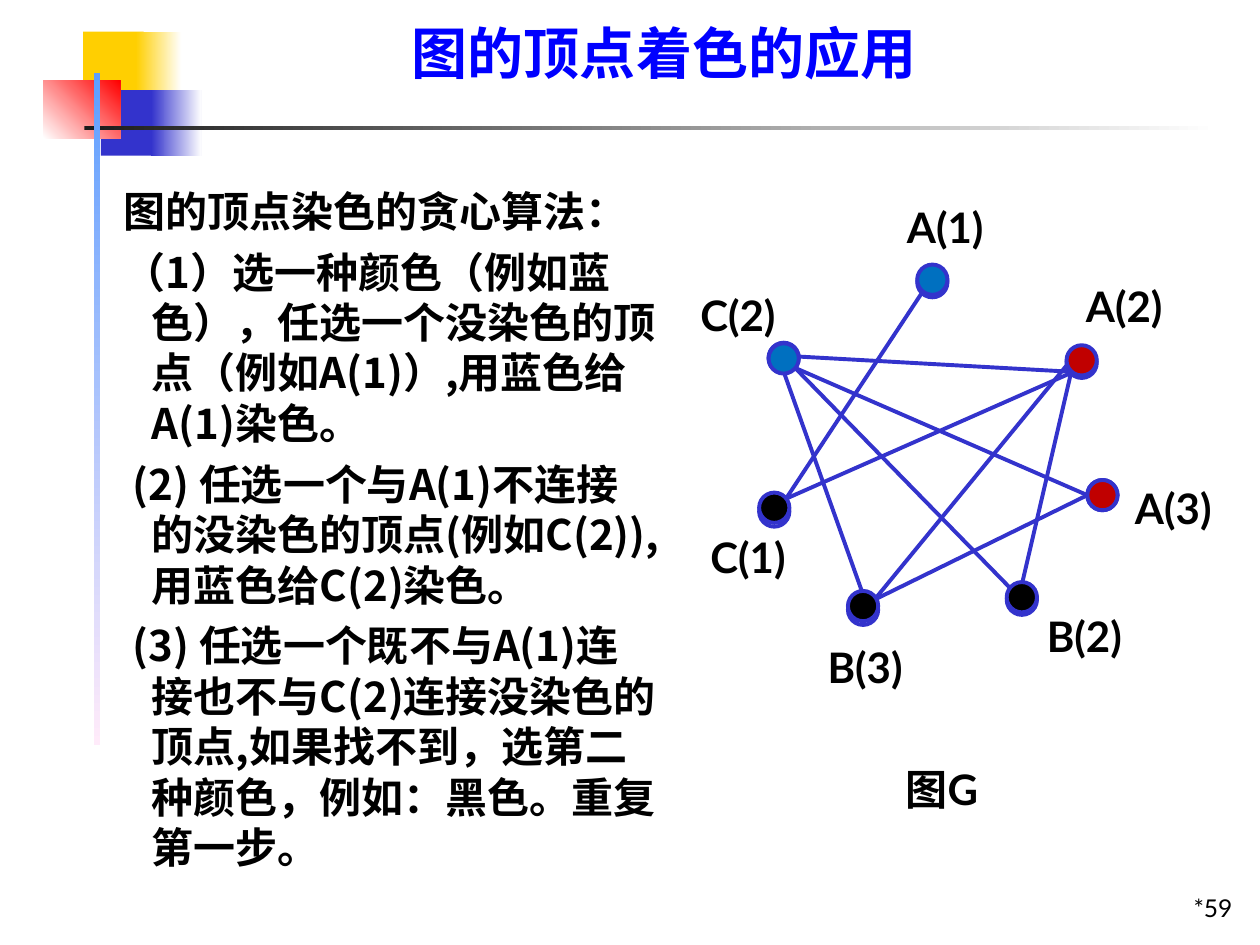
from lxml.etree import SubElement
from pptx import Presentation
from pptx.dml.color import RGBColor
from pptx.enum.shapes import MSO_CONNECTOR, MSO_SHAPE
from pptx.enum.text import MSO_ANCHOR, PP_ALIGN
from pptx.oxml.ns import qn
from pptx.util import Inches, Pt

COLUMNS, ROWS = 100, 75
WIDTH, HEIGHT = Inches(10), Inches(7.5)
LATIN, HAN = "Lato", "Noto Sans CJK SC"
COLORS = {
    "yellow": "FFCF01", "indigo": "3333CC", "red": "FF0000", "white": "FFFFFF",
    "charcoal": "1C1C1C", "sky": "5E9EFF", "pink": "FFEBFA", "black": "000000",
    "title": "0000FF", "blue": "0070C0", "crimson": "C00000",
}
DOT = 2.4
VERTICES = {
    "A(1)": {"dot": (18.8, 6), "ring": (18.8, 6.2), "label": (17, 0.5), "color": "blue"},
    "A(2)": {"dot": (30.65, 12.4), "ring": (30.65, 12.6), "label": (31.2, 6.8), "color": "crimson"},
    "A(3)": {"dot": (32.3, 23.1), "ring": (32.3, 23.1), "label": (35.1, 22.8), "color": "crimson"},
    "B(2)": {"dot": (25.9, 31.2), "ring": (25.9, 31.4), "label": (28.1, 33), "color": "black"},
    "B(3)": {"dot": (13.3, 31.9), "ring": (13.3, 32.2), "label": (10.7, 35.4), "color": "black"},
    "C(1)": {"dot": (6.25, 24.1), "ring": (6.25, 24.4), "label": (1.4, 26.7), "color": "black"},
    "C(2)": {"dot": (7, 12.25), "ring": (7, 12.2), "label": (0.6, 7.5), "color": "blue"},
}
EDGES = [
    ((19.2, 8.2), (8.3, 24.7)), ((6.3, 25.5), (31, 14.6)), ((32.7, 14.6), (9.4, 13.3)),
    ((31, 14.6), (27.1, 31.4)), ((32.3, 24.3), (9.1, 14.2)), ((32.3, 24.3), (15.4, 32.6)),
    ((8.2, 14.5), (14.5, 32.2)), ((9.1, 14.2), (26.3, 31.8)), ((31.8, 12.6), (15.4, 32.6)),
]
STEPS = [
    ("图的顶点染色的贪心算法：", 2.25),
    ("（1）选一种颜色（例如蓝色），任选一个没染色的顶点（例如A(1)）,用蓝色给A(1)染色。", 2.25),
    ("(2) 任选一个与A(1)不连接的没染色的顶点(例如C(2)),用蓝色给C(2)染色。", 1.5),
    ("(3) 任选一个既不与A(1)连接也不与C(2)连接没染色的顶点,如果找不到，选第二种颜色，例如：黑色。重复第一步。", 1.5),
]


def across(columns):
    """Turn grid columns into a length."""
    return round(WIDTH * columns / COLUMNS)


def down(rows):
    """Turn grid rows into a length."""
    return round(HEIGHT * rows / ROWS)


def color(name):
    """Look up a named colour."""
    return RGBColor.from_string(COLORS[name])


def place(box, left, top, width, height):
    """Give the lengths of a part that sits inside a box."""
    return across(box[0] + left), down(box[1] + top), across(width), down(height)


def add_text(slide, frame, paragraphs, size=24, tint="black", font=LATIN, bold=True, margins=(1, 0.5),
             wrap=False, align=PP_ALIGN.LEFT, anchor=MSO_ANCHOR.TOP, hanging=0, line_spacing=None):
    """Add a text box from pairs of text and first-line outdent."""
    text_frame = slide.shapes.add_textbox(*frame).text_frame
    text_frame.word_wrap = wrap
    text_frame.vertical_anchor = anchor
    text_frame.margin_left = text_frame.margin_right = across(margins[0])
    text_frame.margin_top = text_frame.margin_bottom = down(margins[1])
    for index, (text, outdent) in enumerate(paragraphs):
        paragraph = text_frame.add_paragraph() if index else text_frame.paragraphs[0]
        paragraph.alignment = align
        paragraph.line_spacing = line_spacing
        paragraph.space_before = Pt(6 if index else 0)
        properties = paragraph._p.get_or_add_pPr()
        properties.set("marL", str(across(hanging)))
        properties.set("indent", str(-across(outdent)))
        properties.set("hangingPunct", "0")
        run = paragraph.add_run()
        run.text = text
        run.font.size, run.font.bold, run.font.name = Pt(size), bold, font
        run.font.color.rgb = color(tint)
        SubElement(run._r.get_or_add_rPr(), qn("a:ea")).set("typeface", HAN)


def add_block(slide, frame, start, end=None, angle=0):
    """Add a borderless rectangle with a plain or gradient fill."""
    block = slide.shapes.add_shape(MSO_SHAPE.RECTANGLE, *frame)
    block.shadow.inherit = False
    block.line.fill.background()
    if end is None:
        block.fill.solid()
        block.fill.fore_color.rgb = color(start)
        return
    block.fill.gradient()
    block.fill.gradient_angle = angle
    for stop, name, position in zip(block.fill.gradient_stops, (start, end), (0, 1)):
        stop.color.rgb = color(name)
        stop.position = position


def add_circle(slide, frame, fill=None):
    """Add a vertex circle, hollow when no fill is given."""
    circle = slide.shapes.add_shape(MSO_SHAPE.OVAL, *frame)
    circle.shadow.inherit = False
    circle.line.color.rgb = color("indigo")
    circle.line.width = Pt(2.25)
    if fill:
        circle.fill.solid()
        circle.fill.fore_color.rgb = color(fill)
    else:
        circle.fill.background()


def add_edge(slide, box, start, end):
    """Add a straight graph edge between two points of a box."""
    ends = [length for x, y in (start, end) for length in (across(box[0] + x), down(box[1] + y))]
    edge = slide.shapes.add_connector(MSO_CONNECTOR.STRAIGHT, *ends)
    edge.line.color.rgb = color("indigo")
    edge.line.width = Pt(2.25)
    SubElement(edge._element.spPr, qn("a:effectLst"))


def draw_ornament(slide, box):
    """Draw the coloured squares and the two rules."""
    for frame, *fill in (
        ((3.1, 0, 4.8, 5.2), "yellow"),
        ((7.3, 0, 3.6, 5.2), "yellow", "white"),
        ((4.5, 4.65, 4.6, 5.2), "indigo"),
        ((8.5, 4.65, 4, 5.2), "indigo", "white"),
        ((-0.05, 3.9, 6.1, 4.6), "white", "red", 45),
        ((3.2, 7.5, 90, 0.3), "charcoal", "white"),
        ((3.95, 3.3, 0.5, 53.3), "sky", "pink", 270),
    ):
        add_block(slide, place(box, *frame), *fill)


def draw_graph(slide, box):
    """Draw the graph with its edges, vertices, labels and caption."""
    for start, end in EDGES:
        add_edge(slide, box, start, end)
    for label, vertex in VERTICES.items():
        add_circle(slide, place(box, *vertex["ring"], DOT, DOT))
        add_circle(slide, place(box, *vertex["dot"], DOT, DOT), vertex["color"])
        add_text(slide, place(box, *vertex["label"], 8.4, 5), [(label, 0)])
    add_text(slide, place(box, 16.9, 45.1, 10, 5), [("图G", 0)])


def draw_words(slide, box):
    """Write the title, the algorithm steps and the page number."""
    add_text(slide, place(box, 32.7, 2.1, 41.7, 4.8), [("图的顶点着色的应用", 0)], size=32,
             tint="title", font=HAN, margins=(0, 0), line_spacing=0.9)
    add_text(slide, place(box, 8.3, 14.7, 44.1, 54.5), STEPS, font=HAN, margins=(0, 0),
             wrap=True, hanging=3.75)
    add_text(slide, place(box, 78, 68.7, 20.8, 5), [("*59", 0)], size=14, bold=False, wrap=True,
             align=PP_ALIGN.RIGHT, anchor=MSO_ANCHOR.BOTTOM)


def main():
    """Build and save the slide."""
    presentation = Presentation()
    presentation.slide_width, presentation.slide_height = WIDTH, HEIGHT
    slide = presentation.slides.add_slide(presentation.slide_layouts[6])
    draw_ornament(slide, (3.5, 2.5))
    draw_words(slide, (0, 0))
    draw_graph(slide, (54, 15))
    presentation.save("out.pptx")


if __name__ == "__main__":
    main()
